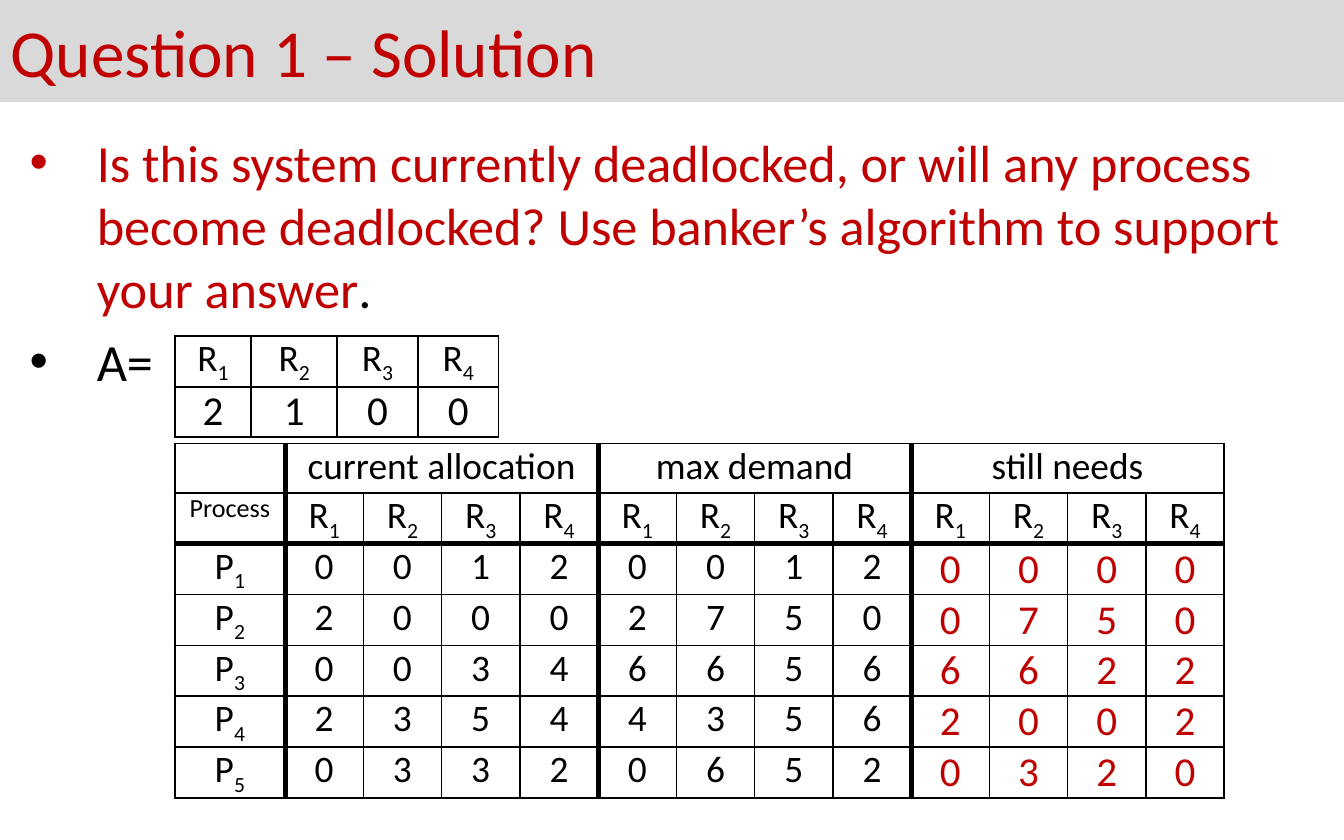
import dataclasses

import lxml.etree
import pptx
import pptx.dml.color
import pptx.enum.text
import pptx.oxml.ns
import pptx.util

ANCHOR = pptx.enum.text.MSO_ANCHOR
ALIGN = pptx.enum.text.PP_ALIGN
qn = pptx.oxml.ns.qn


@dataclasses.dataclass(frozen=True)
class Theme:
    font: str = "Calibri"
    black: str = "000000"
    red: str = "C00000"
    band: str = "D9D9D9"
    title: int = 36
    body: int = 28
    value: int = 22
    cell: int = 20
    small: int = 14
    thin: int = 1
    thick: int = 3


THEME = Theme()
WIDTH, HEIGHT = pptx.util.Inches(10), pptx.util.Inches(6.25)

RESOURCES = ["R1", "R2", "R3", "R4"]
AVAILABLE = [2, 1, 0, 0]
GROUPS = ["current allocation", "max demand", "still needs"]
ALLOCATION = [[0, 0, 1, 2], [2, 0, 0, 0], [0, 0, 3, 4], [2, 3, 5, 4], [0, 3, 3, 2]]
DEMAND = [[0, 0, 1, 2], [2, 7, 5, 0], [6, 6, 5, 6], [4, 3, 5, 6], [0, 6, 5, 2]]
QUESTION = (
    "Is this system currently deadlocked, or will any process become deadlocked? "
    "Use banker’s algorithm to support your answer"
)


def share(left, top, width, height):
    """Box from percentages of the slide's width and height."""
    return [int(WIDTH * left / 100), int(HEIGHT * top / 100),
            int(WIDTH * width / 100), int(HEIGHT * height / 100)]


def assign(target, formats):
    for name, value in formats.items():
        setattr(target, name, value)


def place(shape, box):
    assign(shape, dict(zip(("left", "top", "width", "height"), box)))


def add_run(paragraph, text, size, color, subscript=False):
    run = paragraph.add_run()
    run.text = text
    assign(run.font, {"name": THEME.font, "size": pptx.util.Pt(size), "bold": False})
    run.font.color.rgb = pptx.dml.color.RGBColor.from_string(color)
    if subscript:
        run._r.get_or_add_rPr().set("baseline", "-25000")


def add_bullet(paragraph):
    properties = paragraph._p.get_or_add_pPr()
    indent = pptx.util.Inches(0.5)
    properties.set("marL", str(indent))
    properties.set("indent", str(-indent))
    lxml.etree.SubElement(properties, qn("a:buFont"), typeface="Arial")
    lxml.etree.SubElement(properties, qn("a:buChar"), char="•")


def set_borders(cell, widths):
    """Widths in points for the left, right, top and bottom edges."""
    properties = cell._tc.get_or_add_tcPr()
    for place_in_order, (edge, width) in enumerate(zip("LRTB", widths)):
        line = lxml.etree.Element(qn(f"a:ln{edge}"), w=str(pptx.util.Pt(width)))
        fill = lxml.etree.SubElement(line, qn("a:solidFill"))
        lxml.etree.SubElement(fill, qn("a:srgbClr"), val=THEME.black)
        properties.insert(place_in_order, line)


def fill_cell(cell, text, size=THEME.cell, color=THEME.black, anchor=ANCHOR.TOP):
    side = pptx.util.Inches(0.07)
    assign(cell, {"margin_left": side, "margin_right": side, "margin_top": 0,
                  "margin_bottom": 0, "vertical_anchor": anchor})
    cell.fill.background()
    paragraph = cell.text_frame.paragraphs[0]
    paragraph.alignment = ALIGN.CENTER
    if text[:1] in ("R", "P") and text[1:].isdigit():
        add_run(paragraph, text[0], size, color)
        add_run(paragraph, text[1:], size, color, subscript=True)
    elif text:
        add_run(paragraph, text, size, color)


def add_grid(slide, box, column_shares, row_shares):
    table = slide.shapes.add_table(len(row_shares), len(column_shares), *box).table
    assign(table, {"first_row": False, "horz_banding": False})
    for column, part in zip(table.columns, column_shares):
        column.width = int(box[2] * part / sum(column_shares))
    for row, part in zip(table.rows, row_shares):
        row.height = int(box[3] * part / sum(row_shares))
    return table


def build_title(slide, box):
    title = slide.shapes.title
    place(title, box)
    title.fill.solid()
    title.fill.fore_color.rgb = pptx.dml.color.RGBColor.from_string(THEME.band)
    assign(title.text_frame, {"vertical_anchor": ANCHOR.MIDDLE, "word_wrap": True,
                              "auto_size": pptx.enum.text.MSO_AUTO_SIZE.NONE})
    paragraph = title.text_frame.paragraphs[0]
    paragraph.alignment = ALIGN.JUSTIFY
    add_run(paragraph, "Question 1 – Solution", THEME.title, THEME.red)


def build_body(slide, box):
    body = slide.placeholders[1]
    place(body, box)
    frame = body.text_frame
    assign(frame, {"vertical_anchor": ANCHOR.TOP, "word_wrap": True,
                   "auto_size": pptx.enum.text.MSO_AUTO_SIZE.NONE})
    question, available = frame.paragraphs[0], frame.add_paragraph()
    for paragraph, gap in ((question, 0), (available, THEME.body * 0.2)):
        add_bullet(paragraph)
        assign(paragraph, {"alignment": ALIGN.LEFT, "space_before": pptx.util.Pt(gap)})
    add_run(question, QUESTION, THEME.body, THEME.red)
    add_run(question, ".", THEME.body, THEME.black)
    add_run(available, "A=", THEME.body, THEME.black)


def build_process_table(slide, box):
    span = len(RESOURCES)
    needs = [[most - held for most, held in zip(*pair)]
             for pair in zip(DEMAND, ALLOCATION)]
    rows = [["Process"] + RESOURCES * len(GROUPS)]
    for number, parts in enumerate(zip(ALLOCATION, DEMAND, needs), 1):
        rows.append([f"P{number}"] + [str(value) for part in parts for value in part])
    group_starts = [1 + span * index for index in range(len(GROUPS))]
    table = add_grid(slide, box, [1.41] + [1] * span * len(GROUPS), [1] * (len(rows) + 1))

    def edge(column):
        return THEME.thick if column in group_starts else THEME.thin

    # Group headings
    corner = table.cell(0, 0)
    fill_cell(corner, "")
    set_borders(corner, (THEME.thin, edge(1), THEME.thin, THEME.thin))
    for start, group in zip(group_starts, GROUPS):
        heading = table.cell(0, start)
        heading.merge(table.cell(0, start + span - 1))
        fill_cell(heading, group)
        set_borders(heading, (edge(start), edge(start + span), THEME.thin, THEME.thin))

    # Resource headings and process rows
    for row, texts in enumerate(rows, 1):
        for column, text in enumerate(texts):
            formats = {}
            if text == "Process":
                formats = {"size": THEME.small}
            elif row > 1 and column >= group_starts[-1]:
                formats = {"size": THEME.value, "color": THEME.red, "anchor": ANCHOR.MIDDLE}
            cell = table.cell(row, column)
            fill_cell(cell, text, **formats)
            above = THEME.thick if row == 2 else THEME.thin
            below = THEME.thick if row == 1 else THEME.thin
            set_borders(cell, (edge(column), edge(column + 1), above, below))


def build_available_table(slide, box):
    table = add_grid(slide, box, [0.57, 0.64, 0.6, 0.6], [0.33, 0.36])
    for column, (resource, amount) in enumerate(zip(RESOURCES, AVAILABLE)):
        fill_cell(table.cell(0, column), resource)
        fill_cell(table.cell(1, column), str(amount), size=THEME.value)
        for row in range(2):
            set_borders(table.cell(row, column), [THEME.thin] * 4)


def main():
    deck = pptx.Presentation()
    assign(deck, {"slide_width": WIDTH, "slide_height": HEIGHT})
    slide = deck.slides.add_slide(deck.slide_layouts[0])
    build_title(slide, share(-0.2, 0, 100.2, 12.16))
    build_body(slide, share(1.2, 14.72, 97.6, 83.2))
    build_process_table(slide, share(13, 52.8, 78.1, 41.28))
    build_available_table(slide, share(13, 40, 24.1, 11.2))
    deck.save("out.pptx")


if __name__ == "__main__":
    main()
